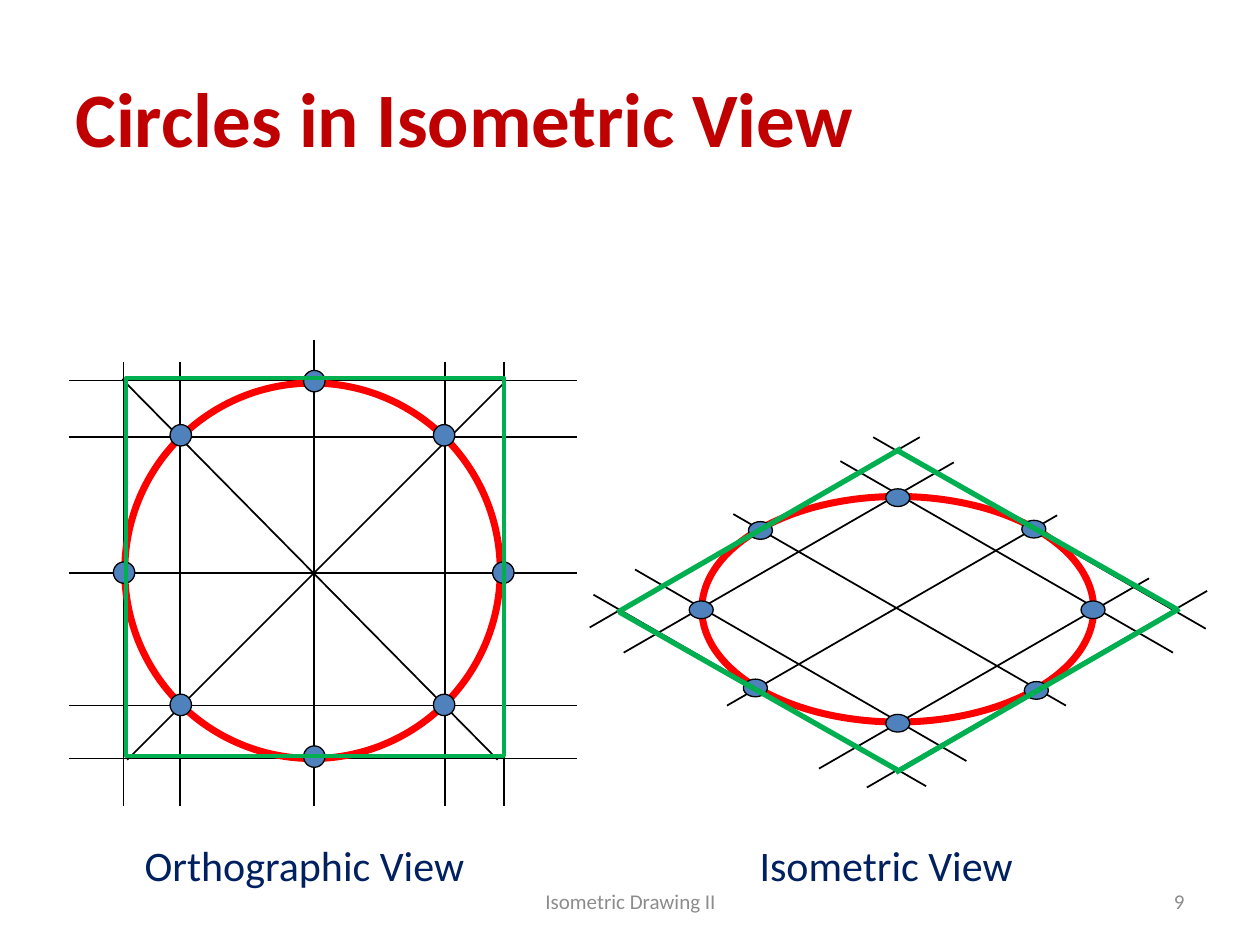
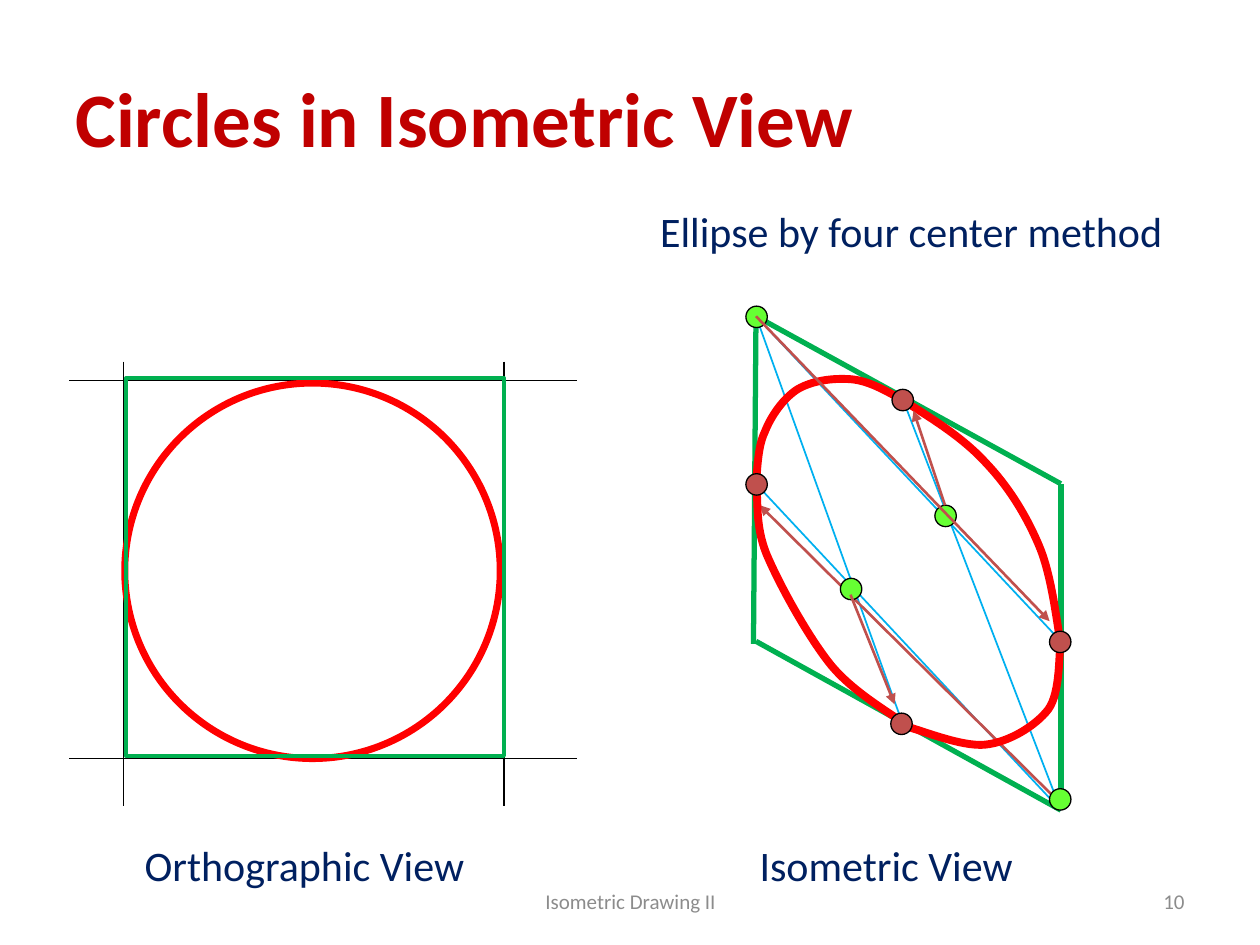
from typing import NamedTuple

from lxml import etree
from pptx import Presentation
from pptx.dml.color import RGBColor
from pptx.enum import shapes, text
from pptx.oxml.ns import qn
from pptx.util import Inches, Pt

FONT = "Calibri"
TITLE_RED, NAVY, GREY = "C00000", "002060", "8C8C8C"
BLACK, CIRCLE_RED, FRAME_GREEN = "000000", "FF0000", "00B050"
POINT_BLUE, RAY_BLUE, BRICK, LIME = "4F81BD", "00B0F0", "C0504D", "66FF33"

Point = tuple[float, float]


class Label(NamedTuple):
    text: str
    left: float
    top: float
    width: float
    height: float
    size: int = 24
    color: str = NAVY
    bold: bool = False
    align: text.PP_ALIGN = text.PP_ALIGN.LEFT
    fixed: bool = False


class Line(NamedTuple):
    x1: float
    y1: float
    x2: float
    y2: float


class Pen(NamedTuple):
    color: str
    width: float


THIN = Pen(BLACK, 1)
DOT_EDGE = Pen(BLACK, 0.75)
CURVE = Pen(CIRCLE_RED, 4)
ARC = Pen(CIRCLE_RED, 4.5)
SQUARE = Pen(FRAME_GREEN, 2.25)
RHOMBUS = Pen(FRAME_GREEN, 3)
RAY = Pen(RAY_BLUE, 1)
RADIUS = Pen(BRICK, 1.5)

TITLE = Label("Circles in Isometric View", 0.5, 0.3, 9, 1.25, 44, TITLE_RED,
              bold=True, fixed=True)
CAPTIONS = [Label("Orthographic View", 1.05, 6.61, 2.76, 0.5),
            Label("Isometric View", 5.93, 6.61, 2.23, 0.5)]
METHOD = Label("Ellipse by four center method", 5.14, 1.58, 4.23, 0.5)
FOOTER = Label("Isometric Drawing II", 3.42, 6.95, 3.17, 0.4, 12, GREY,
               align=text.PP_ALIGN.CENTER, fixed=True)

# Dots are listed by the top left corner of their bounds.
# Orthographic construction
EDGE_X, EDGE_Y = (0.98, 4), (6.02, 3.02)
CHORD_X, CHORD_Y = (1.43, 3.53), (3.47, 5.6)
DIAGONALS = [Line(0.97, 3.01, 3.95, 6.03), Line(1.01, 6.03, 3.99, 3.05)]
ORTHO_DOTS = [(2.41, 2.94), (2.41, 5.92), (1.35, 5.51), (3.44, 5.51),
              (1.35, 3.37), (3.44, 3.37), (0.9, 4.46), (3.91, 4.46)]

# Isometric construction by points
ISO_EDGES = [Line(4.71, 4.72, 7.35, 6.24), Line(9.58, 4.69, 6.88, 6.25),
             Line(6.93, 3.47, 9.57, 4.99), Line(7.3, 3.47, 4.68, 4.98)]
ISO_CHORDS = [Line(8.39, 4.09, 5.77, 5.6), Line(5.82, 4.08, 8.46, 5.6),
              Line(7.57, 3.67, 4.95, 5.18), Line(9.12, 4.59, 6.5, 6.1),
              Line(6.67, 3.66, 9.31, 5.18), Line(5.04, 4.52, 7.67, 6.04)]
ISO_DOTS = [(5.47, 4.77), (5.9, 5.39), (7.03, 3.88), (5.94, 4.14),
            (8.13, 5.41), (8.58, 4.77), (8.11, 4.13), (7.03, 5.67)]
ISO_FRAME = [Line(7.15, 3.56, 4.9, 4.86), Line(9.36, 4.83, 7.11, 6.13),
             Line(9.33, 4.83, 7.13, 3.58), Line(7.12, 6.11, 4.92, 4.86)]

# Four center construction
TOP, BOTTOM = (6, 2.51), (8.42, 6.43)
MID_LEFT, MID_RIGHT = (6, 3.84), (8.42, 5.09)
MID_TOP, MID_BOTTOM = (7.17, 3.18), (7.17, 5.76)
FRAME = [Line(5.98, 5.11, *TOP), Line(*TOP, 8.42, 3.84),
         Line(8.42, 3.84, *BOTTOM), Line(*BOTTOM, 6, 5.09)]
RAYS = [Line(*BOTTOM, *MID_TOP), Line(*BOTTOM, *MID_LEFT),
        Line(*TOP, *MID_BOTTOM), Line(*TOP, *MID_RIGHT)]
LONG_RADIUS = Line(8.41, 6.37, 6.03, 4.01)
FRONT_RADII = [Line(7.5, 4.01, 7.25, 3.26), Line(*TOP, 8.33, 4.93),
               Line(6.75, 4.72, 7.1, 5.59)]
TANGENT_DOTS = [(7.07, 5.66), (8.33, 5.01), (7.08, 3.09), (5.92, 3.76)]
CENTER_DOTS = [(8.33, 6.26), (7.42, 4.01), (6.67, 4.59), (5.92, 2.43)]
# Each arc: a start point, then two controls and an end for every cubic
ARCS = [
    [MID_LEFT, (6.01, 3.77), (6.01, 3.55), (6.07, 3.43),
     (6.12, 3.3), (6.22, 3.16), (6.33, 3.09),
     (6.45, 3.02), (6.61, 3), (6.75, 3.01),
     (6.89, 3.02), (7.03, 3.1), MID_TOP],
    [MID_TOP, (7.41, 3.33), (7.65, 3.48), (7.83, 3.68),
     (8.01, 3.87), (8.15, 4.1), (8.25, 4.34),
     (8.35, 4.58), (8.39, 4.96), (8.42, 5.12)],
    [MID_RIGHT, (8.4, 5.18), (8.42, 5.49), (8.32, 5.63),
     (8.22, 5.76), (8.01, 5.89), (7.82, 5.91),
     (7.63, 5.93), (7.3, 5.79), MID_BOTTOM],
    [(7.17, 5.74), (7.07, 5.66), (6.76, 5.49), (6.58, 5.26),
     (6.4, 5.03), (6.18, 4.63), (6.08, 4.39),
     (5.99, 4.16), (6.02, 3.96), MID_LEFT],
]


def rgb(color: str) -> RGBColor:
    return RGBColor.from_string(color)


def set_line(shape, pen: Pen) -> None:
    shape.line.color.rgb = rgb(pen.color)
    shape.line.width = Pt(pen.width)


def add_label(s, label: Label) -> None:
    box = s.shapes.add_textbox(*map(Inches, label[1:5]))
    tf = box.text_frame
    tf.word_wrap = label.fixed
    if label.fixed:
        tf.vertical_anchor = text.MSO_ANCHOR.MIDDLE
    else:
        tf.auto_size = text.MSO_AUTO_SIZE.SHAPE_TO_FIT_TEXT
    p = tf.paragraphs[0]
    p.text = label.text
    p.alignment = label.align
    p.font.name, p.font.size, p.font.bold = FONT, Pt(label.size), label.bold
    p.font.color.rgb = rgb(label.color)


def add_lines(s, lines: list[Line], pen: Pen, arrow: bool = False) -> None:
    for line in lines:
        cx = s.shapes.add_connector(shapes.MSO_CONNECTOR.STRAIGHT, *map(Inches, line))
        set_line(cx, pen)
        if arrow:
            etree.SubElement(cx.line._get_or_add_ln(), qn("a:tailEnd"), type="triangle")
        etree.SubElement(cx._element.spPr, qn("a:effectLst"))


def add_outline(s, kind, left: float, top: float, width: float, height: float,
                pen: Pen, fill: str | None = None) -> None:
    sp = s.shapes.add_shape(kind, *map(Inches, (left, top, width, height)))
    sp.shadow.inherit = False
    set_line(sp, pen)
    if fill:
        sp.fill.solid()
        sp.fill.fore_color.rgb = rgb(fill)
    else:
        sp.fill.background()


def add_dots(s, corners: list[Point], fill: str, w: float = 0.17, h: float = 0.17) -> None:
    for left, top in corners:
        add_outline(s, shapes.MSO_SHAPE.OVAL, left, top, w, h, DOT_EDGE, fill)


def add_arc(s, controls: list[Point]) -> None:
    """Draw chained cubics: every three segments of the outline become one curve."""
    start, *rest = [(Inches(x), Inches(y)) for x, y in controls]
    builder = s.shapes.build_freeform(*start)
    builder.add_line_segments(rest, close=False)
    sp = builder.convert_to_shape()
    segments = list(sp._element.iter(qn("a:lnTo")))
    for i in range(0, len(segments), 3):
        first, *others = segments[i:i + 3]
        first.tag = qn("a:cubicBezTo")
        for segment in others:
            first.append(segment[0])
            segment.getparent().remove(segment)
    sp.shadow.inherit = False
    sp.fill.background()
    set_line(sp, ARC)


def verticals(xs: tuple[float, ...]) -> list[Line]:
    return [Line(x, 2.87, x, 6.4) for x in xs]


def horizontals(ys: tuple[float, ...]) -> list[Line]:
    return [Line(0.55, y, 4.58, y) for y in ys]


def add_ortho_circle(s) -> None:
    add_lines(s, verticals(EDGE_X) + horizontals(EDGE_Y), THIN)
    add_outline(s, shapes.MSO_SHAPE.OVAL, 0.99, 3.04, 2.98, 2.98, CURVE)


def add_ortho_square(s) -> None:
    add_outline(s, shapes.MSO_SHAPE.RECTANGLE, 1, 3, 3, 3, SQUARE)


def start_slide(prs, number: int):
    s = prs.slides.add_slide(prs.slide_layouts[6])
    page = Label(str(number), 7.17, 6.95, 2.33, 0.4, 12, GREY,
                 align=text.PP_ALIGN.RIGHT, fixed=True)
    for label in (TITLE, *CAPTIONS, FOOTER, page):
        add_label(s, label)
    return s


def add_points_slide(prs) -> None:
    s = start_slide(prs, 9)
    add_lines(s, horizontals((4.55,)) + [Line(2.49, 2.7, 2.49, 6.4)] + DIAGONALS
              + horizontals(CHORD_Y) + verticals(CHORD_X), THIN)
    add_ortho_circle(s)
    add_dots(s, ORTHO_DOTS, POINT_BLUE)
    add_lines(s, ISO_EDGES, THIN)
    add_outline(s, shapes.MSO_SHAPE.OVAL, 5.57, 3.94, 3.11, 1.79, CURVE)
    add_lines(s, ISO_CHORDS, THIN)
    add_dots(s, ISO_DOTS, POINT_BLUE, 0.19, 0.14)
    add_ortho_square(s)
    add_lines(s, ISO_FRAME, RHOMBUS)


def add_four_center_slide(prs) -> None:
    s = start_slide(prs, 10)
    add_label(s, METHOD)
    add_ortho_circle(s)
    add_ortho_square(s)
    add_lines(s, FRAME, RHOMBUS)
    add_lines(s, RAYS, RAY)
    add_lines(s, [LONG_RADIUS], RADIUS, arrow=True)
    for controls in ARCS:
        add_arc(s, controls)
    add_dots(s, TANGENT_DOTS, BRICK)
    add_dots(s, CENTER_DOTS, LIME)
    add_lines(s, FRONT_RADII, RADIUS, arrow=True)


def main() -> None:
    prs = Presentation()
    prs.slide_width, prs.slide_height = Inches(10), Inches(7.5)
    add_points_slide(prs)
    add_four_center_slide(prs)
    prs.save("out.pptx")


if __name__ == "__main__":
    main()
